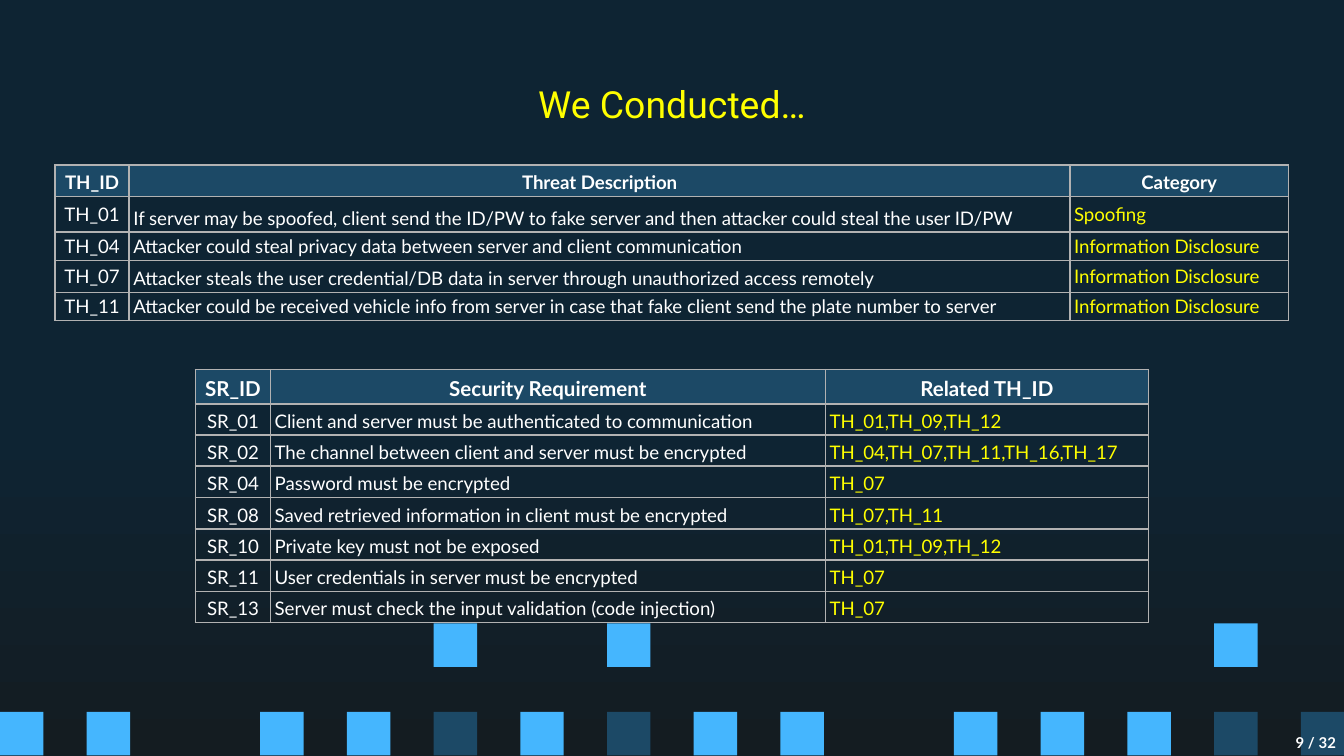
"""Build the slide that lists the analysed threats and security requirements."""
from dataclasses import dataclass

from lxml import etree
from pptx import Presentation
from pptx import util as u
from pptx.dml import color
from pptx.enum import shapes, text
from pptx.oxml import ns

LEFT, CENTER, RIGHT = text.PP_ALIGN.LEFT, text.PP_ALIGN.CENTER, text.PP_ALIGN.RIGHT
MIDDLE, BOTTOM = text.MSO_ANCHOR.MIDDLE, text.MSO_ANCHOR.BOTTOM


@dataclass(frozen=True)
class Theme:
    night: str = "0E2433"
    coal: str = "141C21"
    sky: str = "45B6FE"
    steel: str = "1C4966"
    white: str = "FFFFFF"
    yellow: str = "FFFF00"
    border: str = "B2B2B2"
    body_font: str = "Lato"
    title_font: str = "Roboto"
    title_size: float = 20
    large_size: float = 11
    body_size: float = 10
    number_size: float = 8


THEME = Theme()


@dataclass(frozen=True)
class Style:
    size: float
    ink: str
    font: str = THEME.body_font
    bold: bool = False
    align: text.PP_ALIGN = LEFT
    spacing: float | None = None


@dataclass(frozen=True)
class Grid:
    left: float
    top: float
    columns: list[float]
    heights: list[float]
    rows: list[tuple[str, str, str]]
    header_size: float
    text_anchor: text.MSO_ANCHOR
    body_spacing: float | None


@dataclass(frozen=True)
class SquareRow:
    top: float
    slots: tuple[int, ...]
    dark: tuple[int, ...] = ()


THREATS = Grid(
    29.4, 88.5, [39.8, 504, 117], [15.3, 19, 15.4, 17.1, 15.1],
    [("TH_ID", "Threat Description", "Category"),
     ("TH_01", "If server may be spoofed, client send the ID/PW to fake server "
      "and then attacker could steal the user ID/PW", "Spoofing"),
     ("TH_04", "Attacker could steal privacy data between server and client "
      "communication", "Information Disclosure"),
     ("TH_07", "Attacker steals the user credential/DB data in server through "
      "unauthorized access remotely", "Information Disclosure"),
     ("TH_11", "Attacker could be received vehicle info from server in case that "
      "fake client send the plate number to server", "Information Disclosure")],
    THEME.body_size, BOTTOM, None)

REQUIREMENTS = Grid(
    104.7, 198, [40.2, 297.3, 173], [8] * 8,
    [("SR_ID", "Security Requirement", "Related TH_ID"),
     ("SR_01", "Client and server must be authenticated to communication",
      "TH_01,TH_09,TH_12"),
     ("SR_02", "The channel between client and server must be encrypted",
      "TH_04,TH_07,TH_11,TH_16,TH_17"),
     ("SR_04", "Password must be encrypted", "TH_07"),
     ("SR_08", "Saved retrieved information in client must be encrypted",
      "TH_07,TH_11"),
     ("SR_10", "Private key must not be exposed", "TH_01,TH_09,TH_12"),
     ("SR_11", "User credentials in server must be encrypted", "TH_07"),
     ("SR_13", "Server must check the input validation (code injection)", "TH_07")],
    THEME.large_size, MIDDLE, 1.15)

FRAME_SIZE = 236.2
SQUARE_SIZE, SQUARE_STEP = 23.3, 46.46
SQUARES = [SquareRow(334, (5, 7, 14)),
           SquareRow(381.4, (0, 1, 3, 4, 5, 6, 7, 8, 9, 11, 12, 13, 14, 15),
                     (5, 7, 14, 15))]


def rgb(value: str) -> color.RGBColor:
    return color.RGBColor.from_string(value)


def write(frame, words: str, style: Style) -> None:
    para = frame.paragraphs[0]
    para.alignment = style.align
    para.line_spacing = style.spacing
    span = para.add_run()
    span.text = words
    span.font.size = u.Pt(style.size)
    span.font.name = style.font
    span.font.bold = style.bold
    span.font.color.rgb = rgb(style.ink)


def paint_background(page) -> None:
    fill = page.background.fill
    fill.gradient()
    fill.gradient_angle = 270
    for stop, place, shade in zip(fill.gradient_stops, (0.56, 1),
                                  (THEME.night, THEME.coal)):
        stop.position = place
        stop.color.rgb = rgb(shade)


def draw_squares(page, row: SquareRow) -> None:
    for slot in row.slots:
        square = page.shapes.add_shape(
            shapes.MSO_SHAPE.RECTANGLE, u.Pt(slot * SQUARE_STEP), u.Pt(row.top),
            u.Pt(SQUARE_SIZE), u.Pt(SQUARE_SIZE))
        square.shadow.inherit = False
        square.line.fill.background()
        square.fill.solid()
        square.fill.fore_color.rgb = rgb(THEME.steel if slot in row.dark else THEME.sky)


def add_borders(cell) -> None:
    properties = cell._tc.get_or_add_tcPr()
    for side in ("a:lnL", "a:lnR", "a:lnT", "a:lnB"):
        line = etree.SubElement(properties, ns.qn(side), w=str(u.Pt(1)))
        fill = etree.SubElement(line, ns.qn("a:solidFill"))
        etree.SubElement(fill, ns.qn("a:srgbClr"), val=THEME.border)


def fill_cell(cell, grid: Grid, row: int, column: int) -> None:
    add_borders(cell)
    cell.margin_left = cell.margin_right = u.Pt(2.25)
    cell.margin_top = cell.margin_bottom = u.Pt(1.5)
    if row == 0:
        cell.fill.solid()
        cell.fill.fore_color.rgb = rgb(THEME.steel)
        cell.vertical_anchor = grid.text_anchor
        style = Style(grid.header_size, THEME.white, bold=True, align=CENTER,
                      spacing=1.15)
    else:
        cell.fill.background()
        cell.vertical_anchor = grid.text_anchor if column == 1 else MIDDLE
        style = Style(THEME.body_size, THEME.yellow if column == 2 else THEME.white,
                      align=CENTER if column == 0 else LEFT,
                      spacing=grid.body_spacing)
    write(cell.text_frame, grid.rows[row][column], style)


def draw_table(page, grid: Grid) -> None:
    holder = page.shapes.add_table(
        len(grid.rows), len(grid.columns), u.Pt(grid.left), u.Pt(grid.top),
        u.Pt(FRAME_SIZE), u.Pt(FRAME_SIZE))
    table = holder.table
    table.first_row = table.horz_banding = False
    for column, width in enumerate(grid.columns):
        table.columns[column].width = u.Pt(width)
    for row, height in enumerate(grid.heights):
        table.rows[row].height = u.Pt(height)
        for column in range(len(grid.columns)):
            fill_cell(table.cell(row, column), grid, row, column)
    holder.width = holder.height = u.Pt(FRAME_SIZE)


def place_text(box, area: tuple[float, ...], words: str, style: Style,
               anchor: text.MSO_ANCHOR) -> None:
    box.left, box.top, box.width, box.height = map(u.Pt, area)
    frame = box.text_frame
    frame.word_wrap = True
    frame.auto_size = text.MSO_AUTO_SIZE.NONE
    frame.vertical_anchor = anchor
    frame.margin_left = frame.margin_right = u.Pt(7.2)
    frame.margin_top = frame.margin_bottom = u.Pt(7.2)
    write(frame, words, style)


def main() -> None:
    deck = Presentation()
    deck.slide_width, deck.slide_height = u.Pt(720), u.Pt(405)
    page = deck.slides.add_slide(deck.slide_layouts[5])
    paint_background(page)
    for row in SQUARES:
        draw_squares(page, row)
    for grid in (THREATS, REQUIREMENTS):
        draw_table(page, grid)
    place_text(page.shapes.title, (56.4, 42.8, 607.2, 25.9), "We Conducted…",
               Style(THEME.title_size, THEME.yellow, THEME.title_font, align=CENTER),
               MIDDLE)
    place_text(page.shapes.add_textbox(0, 0, 0, 0), (679.7, 385.9, 43.2, 31),
               "9 / 32", Style(THEME.number_size, THEME.white, bold=True, align=RIGHT),
               text.MSO_ANCHOR.TOP)
    deck.save("out.pptx")


if __name__ == "__main__":
    main()
